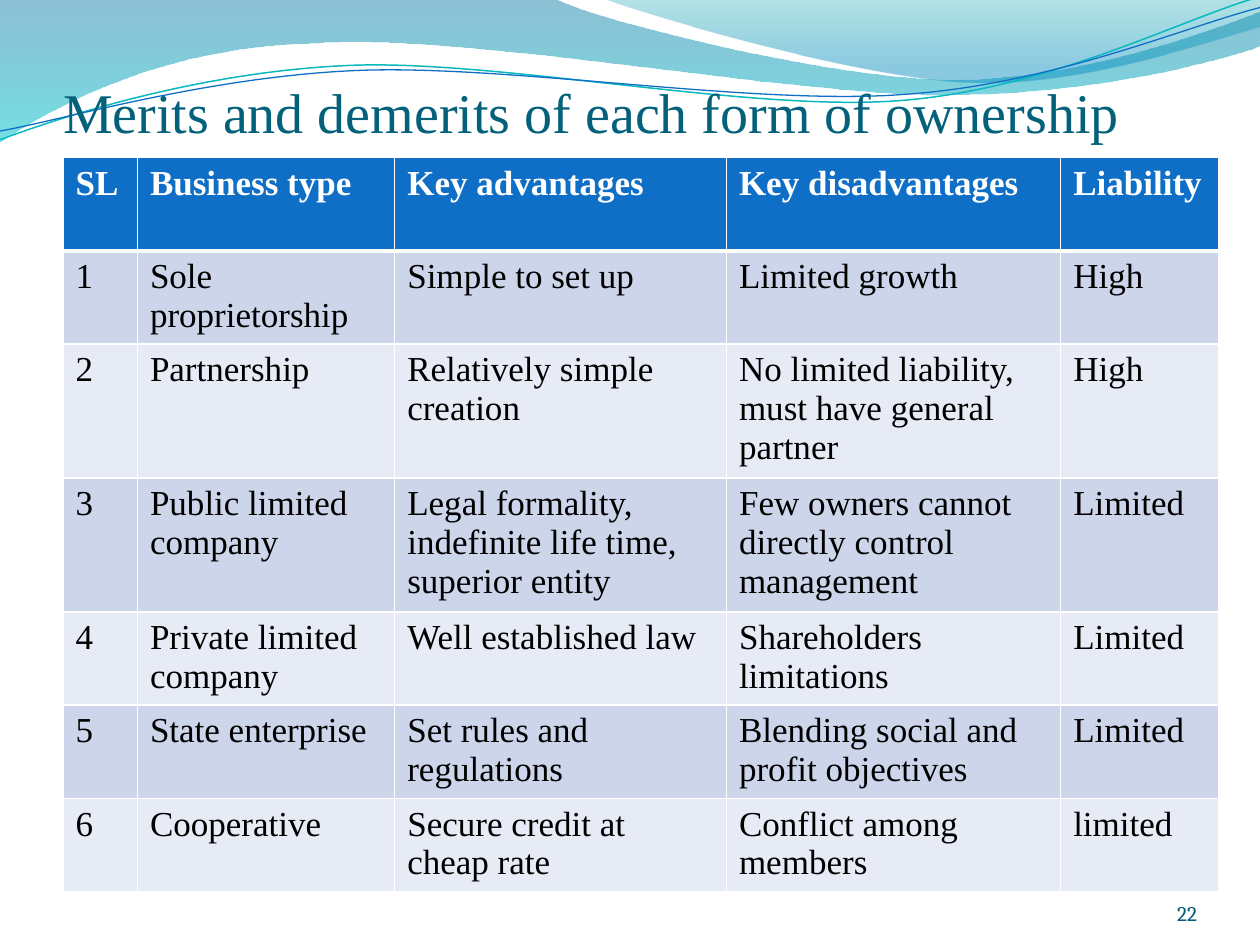
from lxml import etree
from pptx import Presentation
from pptx.dml.color import RGBColor
from pptx.enum.text import MSO_ANCHOR, MSO_AUTO_SIZE, PP_ALIGN
from pptx.oxml import parse_xml
from pptx.oxml.ns import qn
from pptx.util import Inches, Pt

BOTTOM = MSO_ANCHOR.BOTTOM
LEFT, RIGHT = PP_ALIGN.LEFT, PP_ALIGN.RIGHT
NO_AUTOFIT = MSO_AUTO_SIZE.NONE

WHITE = RGBColor(0xFF, 0xFF, 0xFF)
BLACK = RGBColor(0x00, 0x00, 0x00)
BLUE = RGBColor(0x0F, 0x6F, 0xC6)
AQUA = RGBColor(0x0A, 0xB8, 0xBF)
TEAL = RGBColor(0x04, 0x61, 0x7B)
DARK_TEAL = RGBColor(0x04, 0x5D, 0x75)
BAND_DARK = RGBColor(0xCC, 0xD5, 0xEA)
BAND_LIGHT = RGBColor(0xE7, 0xEB, 0xF5)
DEEP_BLUE = RGBColor(0x00, 0x74, 0xA1)
CYAN = RGBColor(0x00, 0xC6, 0xCF)
SEA_GREEN = RGBColor(0x00, 0xA1, 0xA9)
SKY_BLUE = RGBColor(0x00, 0x8B, 0xBF)

SERIF = "Times New Roman"
WIDTH, HEIGHT = 10, 7.5

# Outlines in tenths of the slide width: 2 numbers are a line, 6 a curve
WIDE_WAVE = [(0, 0), (4.4, -0.01), (4.76, 0.17, 6.64, 0.63, 7.58, 0.63),
             (8.53, 0.63, 9.58, 0.26, 10, 0.09), (10.01, 0.36),
             (9.83, 0.44, 8.7, 0.76, 7.46, 0.75),
             (6.22, 0.75, 3.82, 0.28, 2.57, 0.34),
             (1.29, 0.36, 0.46, 0.83, -0.01, 1.13)]
RIGHT_WAVE = [(4.79, -0.01), (5.09, 0.11, 6.82, 0.62, 7.69, 0.65),
              (8.56, 0.69, 9.61, 0.32, 10, 0.21), (10, 0)]
AQUA_STRAND = [(0, 1.11), (0.48, 0.93, 1.58, 0.57, 2.77, 0.52),
               (3.95, 0.47, 5.93, 0.89, 7.13, 0.8),
               (8.33, 0.71, 9.38, 0.15, 9.98, -0.02)]
BLUE_STRAND = [(0, 1.04), (0.47, 0.96, 1.64, 0.61, 2.83, 0.56),
               (4.03, 0.51, 5.97, 0.84, 7.17, 0.75),
               (8.36, 0.67, 9.41, 0.21, 10, 0.06)]

OWNERSHIP = [
    ("SL", "Business type", "Key advantages", "Key disadvantages", "Liability"),
    ("1", "Sole proprietorship", "Simple to set up", "Limited growth", "High"),
    ("2", "Partnership", "Relatively simple creation",
     "No limited liability, must have general partner", "High"),
    ("3", "Public limited company",
     "Legal formality, indefinite life time, superior entity",
     "Few owners cannot directly control management", "Limited"),
    ("4", "Private limited company", "Well established law",
     "Shareholders limitations", "Limited"),
    ("5", "State enterprise", "Set rules and regulations",
     "Blending social and profit objectives", "Limited"),
    ("6", "Cooperative", "Secure credit at cheap rate",
     "Conflict among members", "limited"),
]
COLUMN_WEIGHTS = [0.59, 2.04, 2.63, 2.65, 1.25]
ROW_WEIGHTS = [0.74, 0.74, 1.06, 1.06, 0.74, 0.74, 0.74]


def style_text(paragraph, font, size, color, bold=False, align=LEFT):
    paragraph.alignment = align
    for run in paragraph.runs:
        run.font.name = font
        run.font.size = Pt(size)
        run.font.bold = bold
        run.font.color.rgb = color


def add_outline(slide, box, outline, closed):
    """Join the end points by lines, then bend the curved steps."""
    left, top, width, _ = box
    unit = width / 10

    def to_slide(x, y):
        return Inches(left + x * unit), Inches(top + y * unit)

    corners = [to_slide(*step[-2:]) for step in outline]
    builder = slide.shapes.build_freeform(*corners[0])
    builder.add_line_segments(corners[1:], close=closed)
    shape = builder.convert_to_shape()
    shape.shadow.inherit = False
    segments = list(shape.element.spPr.iter(qn("a:lnTo")))
    for segment, step in zip(segments, outline[1:]):
        if len(step) == 2:
            continue
        segment.tag = qn("a:cubicBezTo")
        for i, control in enumerate((step[0:2], step[2:4])):
            x, y = to_slide(*control)
            segment.insert(i, etree.Element(qn("a:pt"), x=str(x - shape.left),
                                            y=str(y - shape.top)))
    return shape


def fill_gradient(shape, stops):
    """Fill from top to bottom with (position, colour, opacity) stops."""
    shape.fill.gradient()
    gradient = shape.element.spPr.find(qn("a:gradFill"))
    stop_list = gradient.find(qn("a:gsLst"))
    for stop in list(stop_list):
        stop_list.remove(stop)
    for position, color, opacity in stops:
        stop = etree.SubElement(stop_list, qn("a:gs"), pos=str(position * 1000))
        tint = etree.SubElement(stop, qn("a:srgbClr"), val=str(color))
        etree.SubElement(tint, qn("a:alpha"), val=str(opacity * 1000))
    shape.fill.gradient_angle = 270


def add_waves(slide, box):
    for outline, stops in ((WIDE_WAVE, [(0, DEEP_BLUE, 45), (100, CYAN, 55)]),
                           (RIGHT_WAVE, [(0, SEA_GREEN, 30), (80, SKY_BLUE, 45)])):
        wave = add_outline(slide, box, outline, closed=True)
        fill_gradient(wave, stops)
        wave.line.fill.background()
    for outline, color, weight in ((AQUA_STRAND, AQUA, 0.85),
                                   (BLUE_STRAND, BLUE, 0.75)):
        strand = add_outline(slide, box, outline, closed=False)
        strand.fill.background()
        strand.line.color.rgb = color
        strand.line.width = Pt(weight)


def add_title(slide, box):
    title = slide.shapes.title
    title.left, title.top, title.width, title.height = map(Inches, box)
    frame = title.text_frame
    frame.text = "Merits and demerits of each form of ownership"
    frame.auto_size = NO_AUTOFIT
    frame.vertical_anchor = BOTTOM
    frame.margin_left = frame.margin_right = frame.margin_bottom = 0
    frame.margin_top = Inches(0.05)
    style_text(frame.paragraphs[0], SERIF, 32, TEAL)
    # The title lies in front of the waves
    title.element.getparent().append(title.element)


def set_borders(cell, **weights):
    properties = cell._tc.get_or_add_tcPr()
    for side in "LRTB":
        properties.append(parse_xml(
            f'<a:ln{side} xmlns:a="http://schemas.openxmlformats.org/drawingml/2006/main"'
            f' w="{Pt(weights.get(side, 1))}"><a:solidFill><a:srgbClr val="{WHITE}"/>'
            f'</a:solidFill></a:ln{side}>'))


def add_ownership_table(slide, box):
    table = slide.shapes.add_table(len(OWNERSHIP), len(COLUMN_WEIGHTS),
                                   *map(Inches, box)).table
    for column, weight in zip(table.columns, COLUMN_WEIGHTS):
        column.width = Inches(box[2] * weight / sum(COLUMN_WEIGHTS))
    for row, weight in zip(table.rows, ROW_WEIGHTS):
        row.height = Inches(box[3] * weight / sum(ROW_WEIGHTS))
    for r, entries in enumerate(OWNERSHIP):
        header = r == 0
        band = BLUE if header else BAND_DARK if r % 2 else BAND_LIGHT
        for c, entry in enumerate(entries):
            cell = table.cell(r, c)
            cell.text_frame.text = entry
            style_text(cell.text_frame.paragraphs[0], SERIF, 20,
                       WHITE if header else BLACK, bold=header)
            set_borders(cell, B=3 if header else 1, T=3 if r == 1 else 1)
            cell.fill.solid()
            cell.fill.fore_color.rgb = band


def add_page_number(slide, box):
    frame = slide.shapes.add_textbox(*map(Inches, box)).text_frame
    frame.text = "22"
    frame.word_wrap = True
    frame.vertical_anchor = BOTTOM
    frame.margin_left = frame.margin_right = frame.margin_top = frame.margin_bottom = 0
    style_text(frame.paragraphs[0], "Cambria", 12, DARK_TEAL, align=RIGHT)


def main():
    prs = Presentation()
    prs.slide_width, prs.slide_height = Inches(WIDTH), Inches(HEIGHT)
    slide = prs.slides.add_slide(prs.slide_layouts[5])
    margin = 0.05 * WIDTH
    add_waves(slide, (0, 0, WIDTH, 0.15 * HEIGHT))
    add_title(slide, (margin, 0.5, WIDTH - 2 * margin, 0.65))
    add_ownership_table(slide, (margin, 1.25, 9.17, 5.83))
    add_page_number(slide, (8.67, 6.95, 0.83, 0.4))
    prs.save("out.pptx")


if __name__ == "__main__":
    main()
